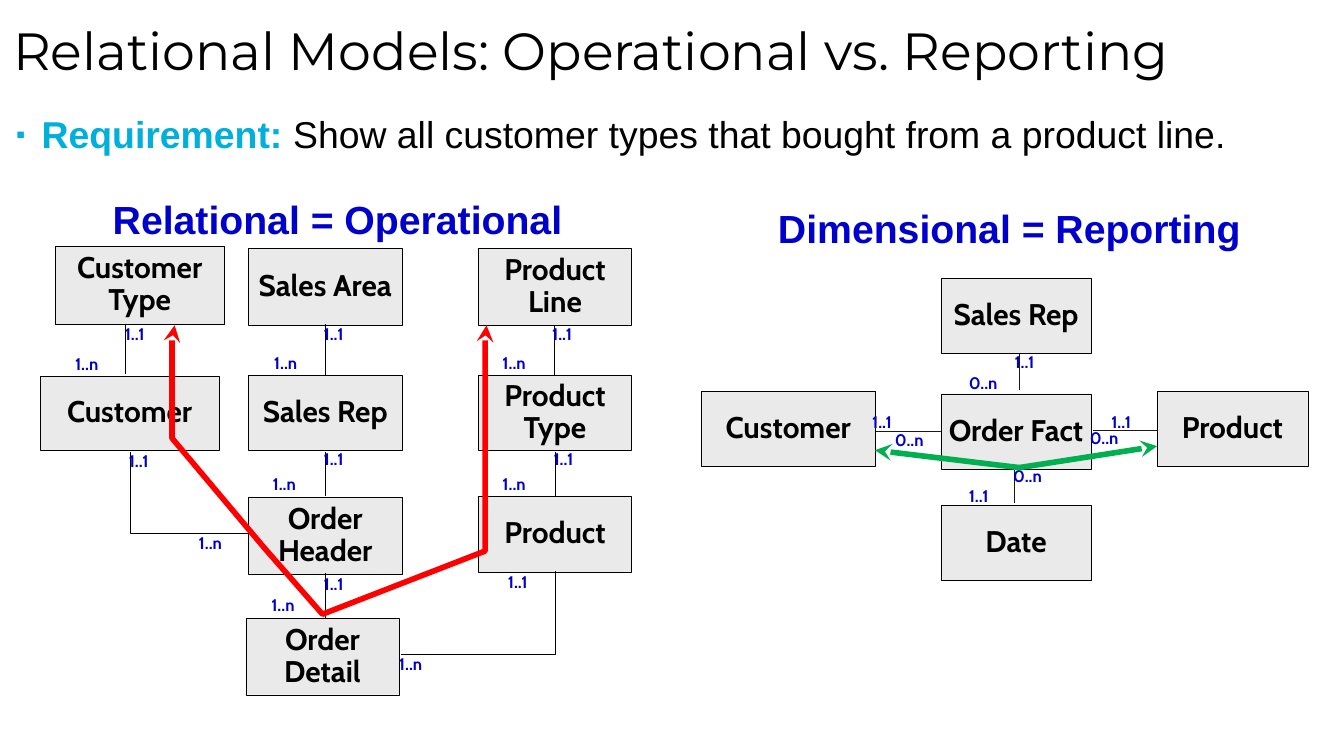
from lxml.etree import SubElement
from pptx import Presentation
from pptx.dml.color import RGBColor
from pptx.enum.shapes import MSO_CONNECTOR, MSO_SHAPE
from pptx.enum.text import MSO_ANCHOR, MSO_AUTO_SIZE, PP_ALIGN
from pptx.oxml.ns import qn
from pptx.util import Inches, Pt

COLORS = {
    "black": "000000", "ink": "010000", "line": "191919", "box": "EAEAEA",
    "blue": "0000CC", "cyan": "00B0DA", "red": "FF0000", "green": "00B050",
}

# Entities: text, left, top, width, height
COL2, COL3, CENTER = 1.85, 3.56, 7
ENTITIES = [
    ("Customer Type", 0.41, 1.83, 1.26, 0.58),
    ("Customer", 0.3, 2.8, 1.33, 0.55),
    ("Sales Area", COL2, 1.85, 1.14, 0.57),
    ("Sales Rep", COL2, 2.79, 1.14, 0.56),
    ("Order Header", COL2, 3.7, 1.14, 0.57),
    ("Order Detail", 1.83, 4.6, 1.14, 0.57),
    ("Product Line", COL3, 1.85, 1.14, 0.57),
    ("Product Type", COL3, 2.79, 1.14, 0.56),
    ("Product", COL3, 3.69, 1.14, 0.57),
    ("Order Fact", CENTER, 2.93, 1.12, 0.56),
    ("Sales Rep", CENTER, 2.07, 1.12, 0.56),
    ("Customer", 5.22, 2.91, 1.29, 0.56),
    ("Product", 8.61, 2.91, 1.12, 0.56),
    ("Date", CENTER, 3.76, 1.12, 0.56),
]

# Relations: start and end points
RELATIONAL_LINES = [
    ((0.93, 2.41), (0.93, 2.78)),
    ((2.42, 2.41), (2.42, 2.79)),
    ((2.42, 3.36), (2.42, 3.69)),
    ((2.42, 4.26), (2.42, 4.6)),
    ((4.12, 2.42), (4.12, 2.79)),
    ((4.13, 3.36), (4.13, 3.69)),
]
DIMENSIONAL_LINES = [
    ((7.58, 2.61), (7.58, 2.9)),
    ((7.55, 3.46), (7.55, 3.74)),
    ((6.52, 3.21), (7, 3.21)),
    ((8.13, 3.2), (8.61, 3.2)),
]
ELBOWS = [
    [(0.97, 3.36), (0.97, 3.97), (1.85, 3.97)],
    [(4.13, 4.25), (4.13, 4.87), (2.98, 4.87)],
]

# Cardinalities: left and top of each label
CARDINALITIES = {
    "1..1": [(0.83, 2.37), (2.31, 2.37), (4.01, 2.37), (0.86, 3.32),
             (2.31, 3.3), (4.02, 3.3), (2.31, 4.23), (3.68, 4.22),
             (7.45, 2.58), (6.39, 3.03), (8.17, 3.03), (7.11, 3.58)],
    "1..n": [(0.46, 2.6), (1.94, 2.59), (3.64, 2.59), (1.38, 3.93),
             (1.93, 3.49), (3.64, 3.49), (1.92, 4.39), (2.87, 4.83)],
    "0..n": [(7.11, 2.74), (6.56, 3.16), (8.01, 3.15), (7.44, 3.43)],
}

# Query paths
RED_PATH = [(1.3, 2.42), (1.29, 2.45), (1.28, 2.47), (1.28, 3.26),
            (1.97, 4.08), (2.4, 4.57), (3.61, 4.1), (3.61, 3.17),
            (3.61, 2.43), (3.62, 2.42)]
GREEN_PATHS = [((7.58, 3.48), (8.61, 3.32)), ((7.59, 3.48), (6.51, 3.35))]


def rgb(name):
    return RGBColor.from_string(COLORS[name])


def add_run(p, text, size=16, font="Cabin", color="black", bold=False):
    r = p.add_run()
    r.text = text
    r.font.size = Pt(size)
    r.font.name = font
    r.font.bold = bold
    r.font.color.rgb = rgb(color)


def set_text(sp, text, *, margins=(0.1, 0.05), anchor=MSO_ANCHOR.TOP,
             align=PP_ALIGN.LEFT, wrap=True, spacing=0.9, **font):
    tf = sp.text_frame
    tf.word_wrap = wrap
    tf.vertical_anchor = anchor
    tf.margin_left = tf.margin_right = Inches(margins[0])
    tf.margin_top = tf.margin_bottom = Inches(margins[1])
    p = tf.paragraphs[0]
    p.alignment = align
    p.line_spacing = spacing
    add_run(p, text, **font)


def add_text(s, text, x, y, w, h, grow=False, **fmt):
    sp = s.shapes.add_textbox(Inches(x), Inches(y), Inches(w), Inches(h))
    set_text(sp, text, **fmt)
    if grow:
        sp.text_frame.auto_size = MSO_AUTO_SIZE.SHAPE_TO_FIT_TEXT
    return sp


def add_entity(s, text, x, y, w, h):
    sp = s.shapes.add_shape(MSO_SHAPE.RECTANGLE, Inches(x), Inches(y),
                            Inches(w), Inches(h))
    sp.shadow.inherit = False
    sp.fill.solid()
    sp.fill.fore_color.rgb = rgb("box")
    style_line(sp, "black", 0.13)
    set_text(sp, text, margins=(0.04, 0.04), anchor=MSO_ANCHOR.MIDDLE,
             align=PP_ALIGN.CENTER, bold=True)


def style_line(sp, color, width, arrows=()):
    sp.line.color.rgb = rgb(color)
    sp.line.width = Pt(width)
    ln = sp.line._get_or_add_ln()
    for end in arrows:
        SubElement(ln, qn(f"a:{end}"), type="stealth")


def add_line(s, start, end, color="black", width=0.13, arrows=()):
    cn = s.shapes.add_connector(MSO_CONNECTOR.STRAIGHT,
                                *(Inches(v) for v in (*start, *end)))
    style_line(cn, color, width, arrows)
    SubElement(cn._element.spPr, qn("a:effectLst"))


def add_polyline(s, points, color="black", width=0.13, arrows=()):
    first, *rest = [(Inches(x), Inches(y)) for x, y in points]
    builder = s.shapes.build_freeform(*first)
    builder.add_line_segments(rest, close=False)
    sp = builder.convert_to_shape()
    sp.shadow.inherit = False
    sp.fill.background()
    style_line(sp, color, width, arrows)


def add_requirement(s):
    sp = add_text(s, "Requirement:", 0, 0.79, 10, 4.43, margins=(0.12, 0.04),
                  spacing=1.0, size=20, font="Arial", color="cyan", bold=True)
    p = sp.text_frame.paragraphs[0]
    pPr = p._p.get_or_add_pPr()
    pPr.set("marL", str(Inches(0.19)))
    pPr.set("indent", str(-Inches(0.19)))
    SubElement(pPr, qn("a:buSzPct"), val="70000")
    SubElement(pPr, qn("a:buFont"), typeface="Arial")
    SubElement(pPr, qn("a:buChar"), char="▪")
    add_run(p, " Show all customer types that bought from a product line.",
            size=20, font="Arial", color="ink")


def main():
    # A 16:9 slide
    prs = Presentation()
    prs.slide_width = Inches(10)
    prs.slide_height = Inches(10) * 9 // 16
    s = prs.slides.add_slide(prs.slide_layouts[6])

    # Title and requirement
    add_text(s, "Relational Models: Operational vs. Reporting", 0, 0, 10, 0.79,
             anchor=MSO_ANCHOR.MIDDLE, size=28, font="Montserrat", color="ink")
    add_requirement(s)

    # Diagram headings
    heading = dict(grow=True, size=21, font="Arial", color="blue", bold=True)
    add_text(s, "Relational = Operational", 0.74, 1.44, 3.58, 0.42,
             wrap=False, **heading)
    add_text(s, "Dimensional = Reporting", 5.69, 1.51, 3.71, 0.42, **heading)

    # Entities and relations
    for start, end in DIMENSIONAL_LINES:
        add_line(s, start, end, "line", 0.25)
    for entity in ENTITIES:
        add_entity(s, *entity)
    for start, end in RELATIONAL_LINES:
        add_line(s, start, end)
    for points in ELBOWS:
        add_polyline(s, points)

    # Cardinalities
    for text, places in CARDINALITIES.items():
        for x, y in places:
            add_text(s, text, x, y, 0.45, 0.24, grow=True, wrap=False,
                     anchor=MSO_ANCHOR.MIDDLE, size=9, color="blue", bold=True)

    # Query paths
    add_polyline(s, RED_PATH, "red", 3, ("headEnd", "tailEnd"))
    for start, end in GREEN_PATHS:
        add_line(s, start, end, "green", 3, ("tailEnd",))

    prs.save("out.pptx")


if __name__ == "__main__":
    main()
